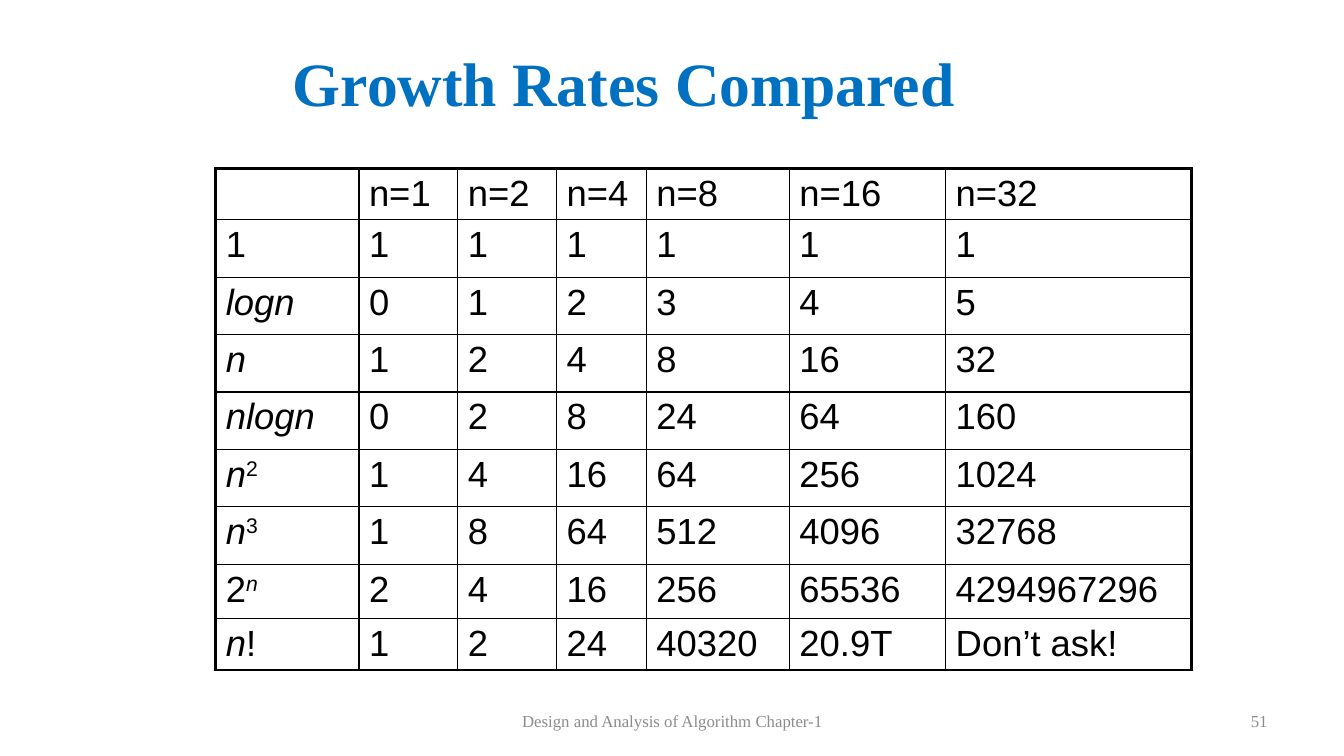
from lxml import etree
from pptx import Presentation
from pptx.dml.color import RGBColor
from pptx.enum.text import MSO_ANCHOR, PP_ALIGN
from pptx.oxml.ns import qn
from pptx.util import Pt

PX = 9144  # EMU per px, 100 px to the inch
CENTER, RIGHT = PP_ALIGN.CENTER, PP_ALIGN.RIGHT
MIDDLE = MSO_ANCHOR.MIDDLE
COLORS = {"title": "0070C0", "text": "000000", "border": "000000", "footer": "8C8C8C"}
SERIF, SANS = "Times New Roman", "Arial"
THIN, THICK = 1, 2.25


def style_font(paragraph, name, size, color):
    paragraph.font.name = name
    paragraph.font.size = Pt(size)
    paragraph.font.color.rgb = RGBColor.from_string(COLORS[color])


def add_border(cell, position, side, width):
    line = etree.Element(qn(f"a:ln{side}"), w=str(Pt(width)))
    fill = etree.SubElement(line, qn("a:solidFill"))
    etree.SubElement(fill, qn("a:srgbClr"), val=COLORS["border"])
    cell._tc.get_or_add_tcPr().insert(position, line)


presentation = Presentation()
presentation.slide_width = 1333 * PX
presentation.slide_height = 750 * PX
slide = presentation.slides.add_slide(presentation.slide_layouts[5])

# Title
title = slide.shapes.title
title.left, title.top, title.width, title.height = [n * PX for n in (165, 43, 908, 76)]
title.text_frame.text = "Growth Rates Compared"
title.text_frame.vertical_anchor = MIDDLE
paragraph = title.text_frame.paragraphs[0]
paragraph.alignment = CENTER
style_font(paragraph, SERIF, 44, "title")
paragraph.font.bold = True

# Growth table: each function is a list of (text, italic, superscript)
growth_rows = [
    ([], ["n=1", "n=2", "n=4", "n=8", "n=16", "n=32"]),
    ([("1", False, False)], ["1"] * 6),
    ([("logn", True, False)], ["0", "1", "2", "3", "4", "5"]),
    ([("n", True, False)], ["1", "2", "4", "8", "16", "32"]),
    ([("nlogn", True, False)], ["0", "2", "8", "24", "64", "160"]),
    ([("n", True, False), ("2", False, True)], ["1", "4", "16", "64", "256", "1024"]),
    ([("n", True, False), ("3", False, True)], ["1", "8", "64", "512", "4096", "32768"]),
    ([("2", False, False), ("n", True, True)], ["2", "4", "16", "256", "65536", "4294967296"]),
    ([("n", True, False), ("!", False, False)], ["1", "2", "24", "40320", "20.9T", "Don’t ask!"]),
]
column_widths = [142, 98, 98, 89, 142, 155, 244]
row_heights = [51] + [57] * 6 + [54, 51]
last_row, last_column = len(row_heights) - 1, len(column_widths) - 1

table = slide.shapes.add_table(
    len(row_heights), len(column_widths), 214 * PX, 167 * PX,
    sum(column_widths) * PX, sum(row_heights) * PX).table
table.first_row = False
table.horz_banding = False
for column, width in zip(table.columns, column_widths):
    column.width = width * PX
for row, height in zip(table.rows, row_heights):
    row.height = height * PX

for row_index, (function, values) in enumerate(growth_rows):
    row_runs = [function] + [[(value, False, False)] for value in values]
    for column_index, runs in enumerate(row_runs):
        cell = table.cell(row_index, column_index)
        cell.fill.background()
        paragraph = cell.text_frame.paragraphs[0]
        style_font(paragraph, SANS, 26, "text")
        for text, italic, superscript in runs:
            run = paragraph.add_run()
            run.text = text
            if italic:
                run.font.italic = True
            if superscript:
                run._r.get_or_add_rPr().set("baseline", "30000")
        # Thick lines around the table, thin lines inside
        outer_sides = [("L", column_index == 0), ("R", column_index == last_column),
                       ("T", row_index == 0), ("B", row_index == last_row)]
        for position, (side, outer) in enumerate(outer_sides):
            add_border(cell, position, side, THICK if outer else THIN)

# Footer and slide number
for text, left, width, alignment in [
        ("Design and Analysis of Algorithm Chapter-1", 456, 422, CENTER),
        ("51", 956, 311, RIGHT)]:
    footer = slide.shapes.add_textbox(left * PX, 695 * PX, width * PX, 40 * PX)
    footer.text_frame.word_wrap = True
    footer.text_frame.vertical_anchor = MIDDLE
    paragraph = footer.text_frame.paragraphs[0]
    paragraph.text = text
    paragraph.alignment = alignment
    style_font(paragraph, SERIF, 12, "footer")

presentation.save("out.pptx")
